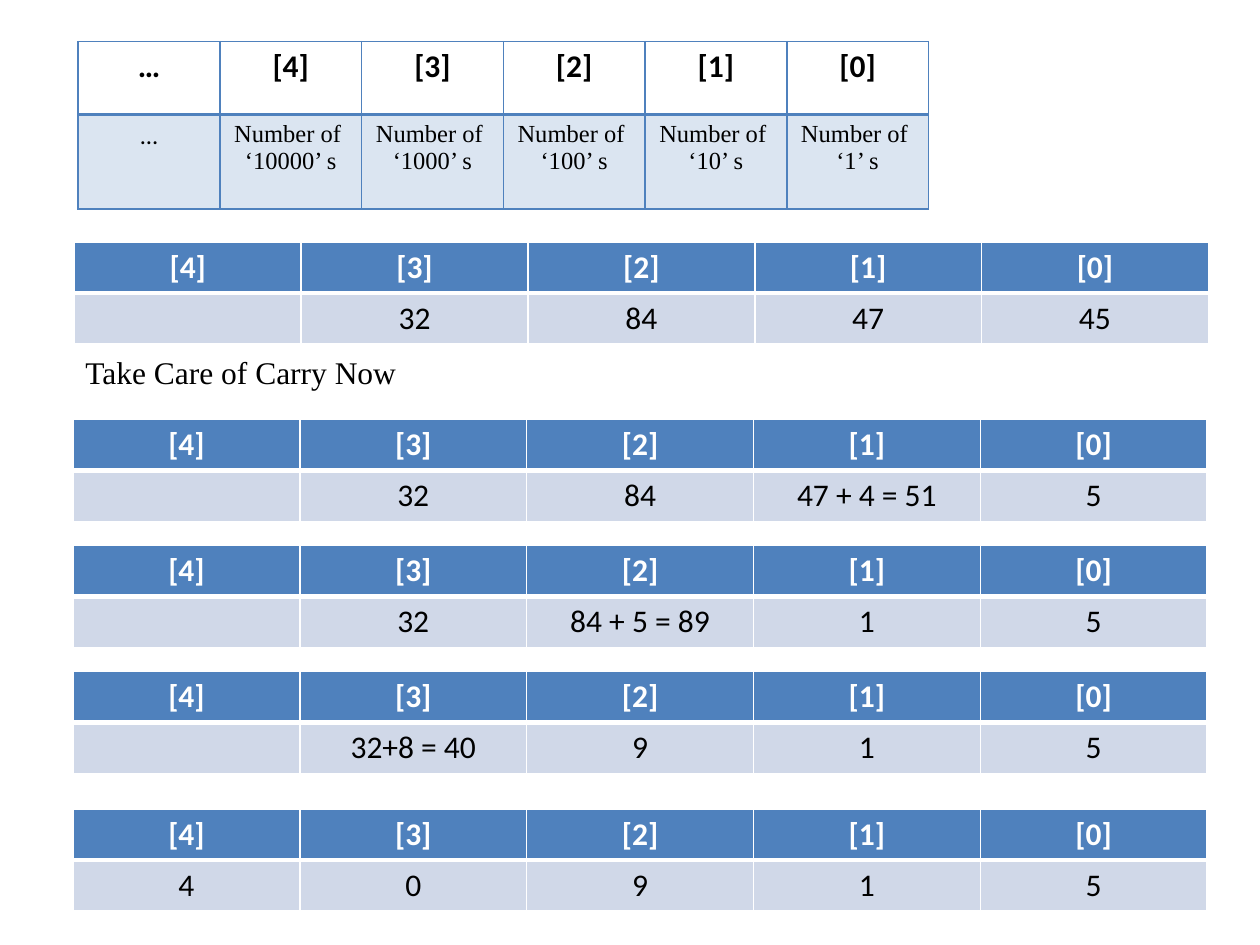
from lxml.etree import SubElement
from pptx import Presentation
from pptx.dml.color import RGBColor
from pptx.enum.text import PP_ALIGN
from pptx.oxml.ns import qn
from pptx.util import Inches, Pt

BLUE, PALE_BLUE, WHITE, BLACK = "4F81BD", "D0D8E8", "FFFFFF", "000000"
SERIF, SANS = "Times New Roman", "Calibri"
SLIDE_WIDTH, SLIDE_HEIGHT = 10, 7.5
DIGIT_POSITIONS = ["[4]", "[3]", "[2]", "[1]", "[0]"]
PLACE_VALUES = ["10000", "1000", "100", "10", "1"]
ROW_HEIGHT = 0.4
CARRY_STEPS = [
    (0.59, 1.92, ["", "32", "84", "47", "45"]),
    (0.58, 3.33, ["", "32", "84", "47 + 4 = 51", "5"]),
    (0.58, 4.33, ["", "32", "84 + 5 = 89", "1", "5"]),
    (0.58, 5.33, ["", "32+8 = 40", "9", "1", "5"]),
    (0.58, 6.42, ["4", "0", "9", "1", "5"]),
]


def colour(hex_string):
    return RGBColor.from_string(hex_string)


def write_text(text_frame, text, alignment, font_colour, **font_format):
    text_frame.text = text
    for paragraph in text_frame.paragraphs:
        paragraph.alignment = alignment
        for run in paragraph.runs:
            run.font.color.rgb = colour(font_colour)
            for name, value in font_format.items():
                setattr(run.font, name, value)


def draw_borders(cell, border_colour, widths):
    properties = cell._tc.get_or_add_tcPr()
    for side, width in widths.items():
        line = SubElement(properties, qn(f"a:ln{side}"), w=str(Pt(width)))
        fill = SubElement(line, qn("a:solidFill"))
        SubElement(fill, qn("a:srgbClr"), val=border_colour)


def fill_cell(cell, fill_colour, opacity=100):
    if fill_colour is None:
        cell.fill.background()
        return
    cell.fill.solid()
    cell.fill.fore_color.rgb = colour(fill_colour)
    if opacity < 100:
        fill = cell._tc.tcPr.find(qn("a:solidFill"))
        SubElement(fill[0], qn("a:alpha"), val=str(opacity * 1000))


def add_grid(slide, box, heights, rows, border_colour, divider):
    left, top, width = (Inches(length) for length in box)
    frame = slide.shapes.add_table(
        len(rows), len(rows[0]), left, top, width, Inches(sum(heights)))
    table = frame.table
    for row, height in zip(table.rows, heights):
        row.height = Inches(height)
    for row_index, texts in enumerate(rows):
        widths = {"L": 1, "R": 1, "T": divider if row_index else 1,
                  "B": 1 if row_index else divider}
        for column_index, text in enumerate(texts):
            cell = table.cell(row_index, column_index)
            draw_borders(cell, border_colour, widths)
            yield row_index, column_index, cell, text


def add_place_value_table(slide, box, heights):
    labels = [f"Number of \n‘{value}’ s" for value in PLACE_VALUES]
    rows = [["…", *DIGIT_POSITIONS], ["…", *labels]]
    for row, column, cell, text in add_grid(slide, box, heights, rows, BLUE, 2):
        fill_cell(cell, BLUE if row else None, 20)
        write_text(cell.text_frame, text, PP_ALIGN.CENTER, BLACK,
                   name=SERIF if row and column else SANS,
                   size=Pt(14 if row else 18), bold=not row)


def add_digit_table(slide, box, digits):
    rows = [DIGIT_POSITIONS, digits]
    heights = [ROW_HEIGHT] * len(rows)
    for row, _, cell, text in add_grid(slide, box, heights, rows, WHITE, 3):
        fill_cell(cell, PALE_BLUE if row else BLUE)
        write_text(cell.text_frame, text, PP_ALIGN.CENTER,
                   BLACK if row else WHITE,
                   name=SANS, size=Pt(18), bold=not row)


def add_caption(slide, box, text):
    shape = slide.shapes.add_textbox(*(Inches(length) for length in box))
    shape.text_frame.word_wrap = True
    write_text(shape.text_frame, text, PP_ALIGN.LEFT, BLACK,
               name=SERIF, size=Pt(18))


def main():
    presentation = Presentation()
    presentation.slide_width = Inches(SLIDE_WIDTH)
    presentation.slide_height = Inches(SLIDE_HEIGHT)
    slide = presentation.slides.add_slide(presentation.slide_layouts[6])
    add_place_value_table(slide, (0.62, 0.33, 6.75), [0.58, 0.75])
    for left, top, digits in CARRY_STEPS:
        add_digit_table(slide, (left, top, 0.9 * SLIDE_WIDTH), digits)
    add_caption(slide, (0.58, 2.75, 2.83, 0.4), "Take Care of Carry Now")
    presentation.save("out.pptx")


if __name__ == "__main__":
    main()
